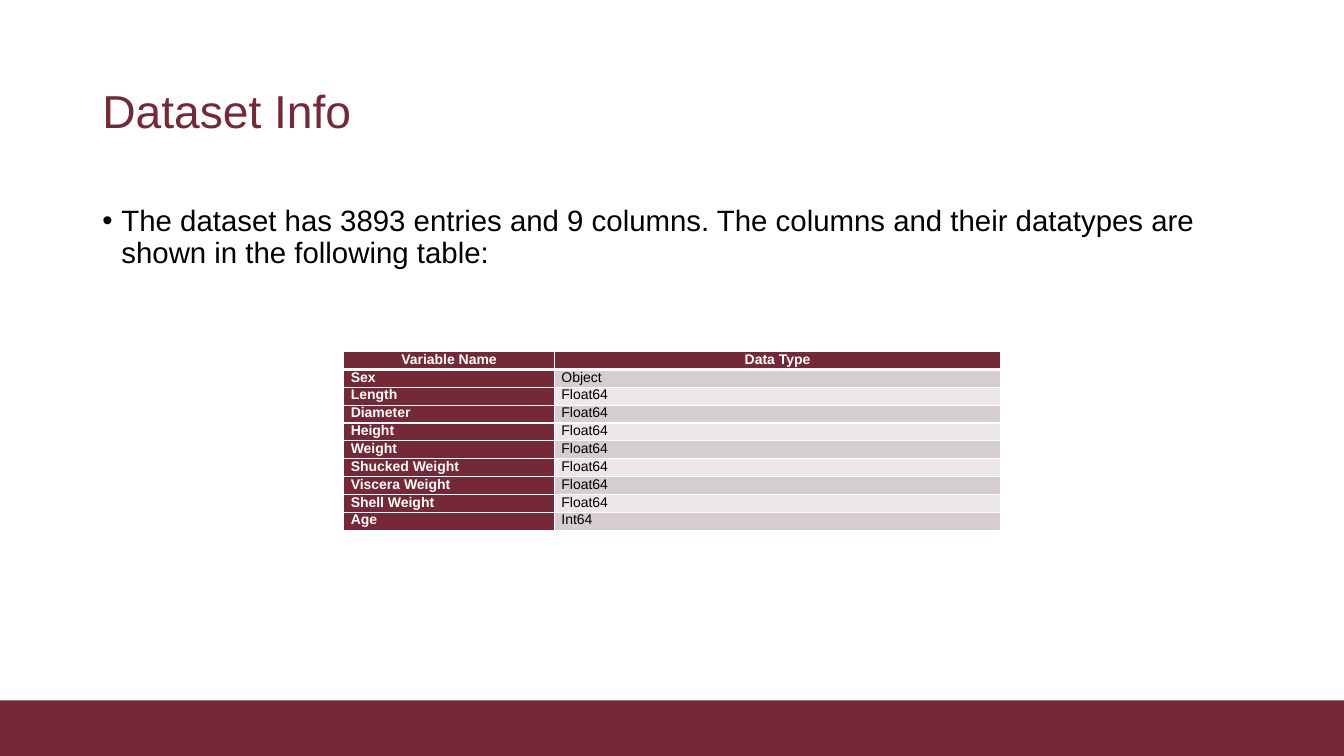
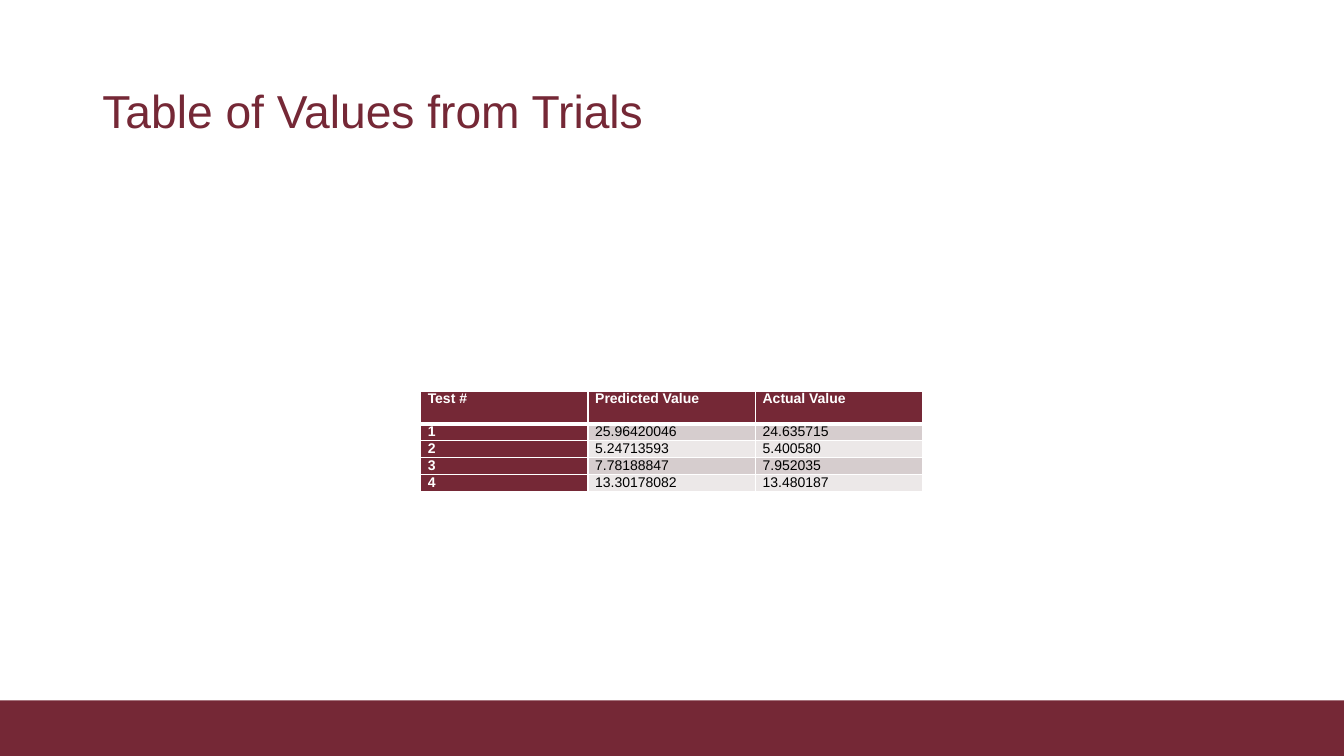
from pptx import Presentation
from pptx.dml.color import RGBColor
from pptx.enum.shapes import MSO_SHAPE
from pptx.enum.text import MSO_ANCHOR, PP_ALIGN
from pptx.oxml import parse_xml
from pptx.oxml.ns import nsdecls
from pptx.util import Cm, Pt

WINE, WHITE, BLACK = "752836", "FFFFFF", "000000"
BANDS = ["D6CDCE", "ECE8E8"]


def hue(code):
    return RGBColor.from_string(code)


def write(frame, text, size=10, color=BLACK, bold=False, align=PP_ALIGN.LEFT,
          space=1.0, before=0, bullet=False):
    frame.word_wrap = True
    para = frame.paragraphs[0]
    para.alignment = align
    para.line_spacing = space
    para.space_before = Pt(before)
    if bullet:
        props = para._p.get_or_add_pPr()
        props.set("marL", str(Cm(0.48)))
        props.set("indent", str(-Cm(0.48)))
        props.append(parse_xml(f'<a:buFont {nsdecls("a")} typeface="Arial"/>'))
        props.append(parse_xml(f'<a:buChar {nsdecls("a")} char="•"/>'))
    run = para.add_run()
    run.text = text
    font = run.font
    font.name, font.size, font.bold = "Arial", Pt(size), bold
    font.color.rgb = hue(color)


fields = [("Variable Name", "Data Type"), ("Sex", "Object")]
for name in ["Length", "Diameter", "Height", "Weight", "Shucked Weight",
             "Viscera Weight", "Shell Weight"]:
    fields.append((name, "Float64"))
fields.append(("Age", "Int64"))

trials = [
    ("Test #", "Predicted Value", "Actual Value"),
    ("1", "25.96420046", "24.635715"),
    ("2", "5.24713593", "5.400580"),
    ("3", "7.78188847", "7.952035"),
    ("4", "13.30178082", "13.480187"),
]

pages = [
    dict(title="Dataset Info",
         body="The dataset has 3893 entries and 9 columns. The columns and "
              "their datatypes are shown in the following table:",
         rows=fields, left=8.66, top=8.86, widths=[5.31, 11.25],
         head=0.45, step=0.45, align=PP_ALIGN.CENTER),
    dict(title="Table of Values from Trials", body=None,
         rows=trials, left=10.6, top=9.86, widths=[4.22] * 3,
         head=0.82, step=0.39, align=PP_ALIGN.LEFT),
]

deck = Presentation()
deck.slide_width, deck.slide_height = Cm(33.87), Cm(19.05)

for page in pages:
    slide = deck.slides.add_slide(deck.slide_layouts[6])
    shapes = slide.shapes

    band = shapes.add_shape(MSO_SHAPE.RECTANGLE, 0, Cm(17.65), Cm(33.87), Cm(1.4))
    band.shadow.inherit = False
    band.fill.solid()
    band.fill.fore_color.rgb = hue(WINE)
    band.line.fill.background()

    title = shapes.add_textbox(Cm(2.33), Cm(1.01), Cm(29.21), Cm(3.68)).text_frame
    title.vertical_anchor = MSO_ANCHOR.MIDDLE
    write(title, page["title"], size=33, color=WINE, space=0.9)

    if page["body"]:
        body = shapes.add_textbox(Cm(2.33), Cm(5.07), Cm(29.21), Cm(12.09))
        write(body.text_frame, page["body"], size=21, space=0.9, before=7.5,
              bullet=True)

    rows, widths = page["rows"], page["widths"]
    height = page["head"] + page["step"] * (len(rows) - 1)
    table = shapes.add_table(len(rows), len(widths), Cm(page["left"]),
                             Cm(page["top"]), Cm(sum(widths)), Cm(height)).table
    table.first_col = True
    for col, width in zip(table.columns, widths):
        col.width = Cm(width)

    for r, row in enumerate(rows):
        table.rows[r].height = Cm(page["step"] if r else page["head"])
        for c, text in enumerate(row):
            cell = table.cell(r, c)
            cell.margin_left = cell.margin_right = Cm(0.18)
            cell.margin_top = cell.margin_bottom = 0
            strong = r == 0 or c == 0
            props = cell._tc.get_or_add_tcPr()
            for side in "LRTB":
                thick = (r, side) in [(0, "B"), (1, "T")]
                props.append(parse_xml(
                    f'<a:ln{side} {nsdecls("a")} w="{Pt(3 if thick else 1)}">'
                    f'<a:solidFill><a:srgbClr val="{WHITE}"/></a:solidFill>'
                    f'</a:ln{side}>'))
            cell.fill.solid()
            cell.fill.fore_color.rgb = hue(WINE if strong else BANDS[(r - 1) % 2])
            write(cell.text_frame, text, bold=strong,
                  color=WHITE if strong else BLACK,
                  align=PP_ALIGN.LEFT if r else page["align"])

deck.save("out.pptx")
